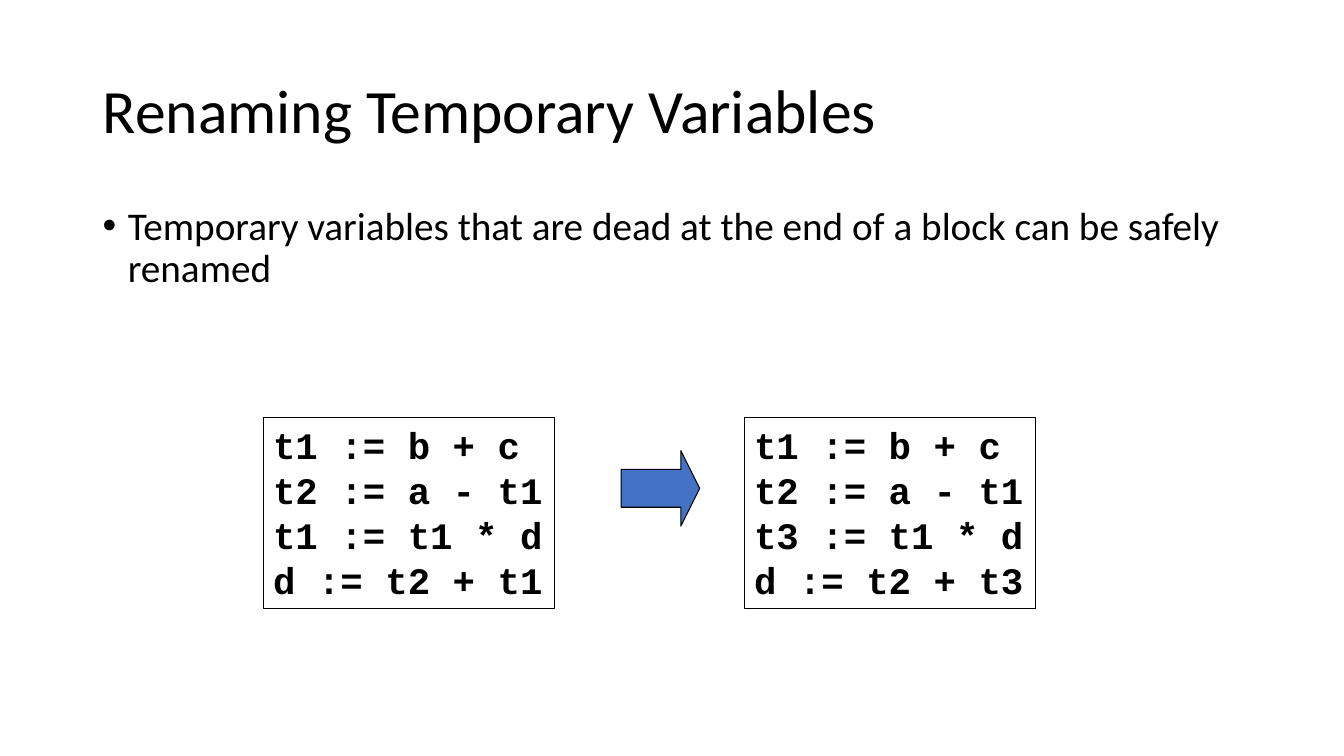
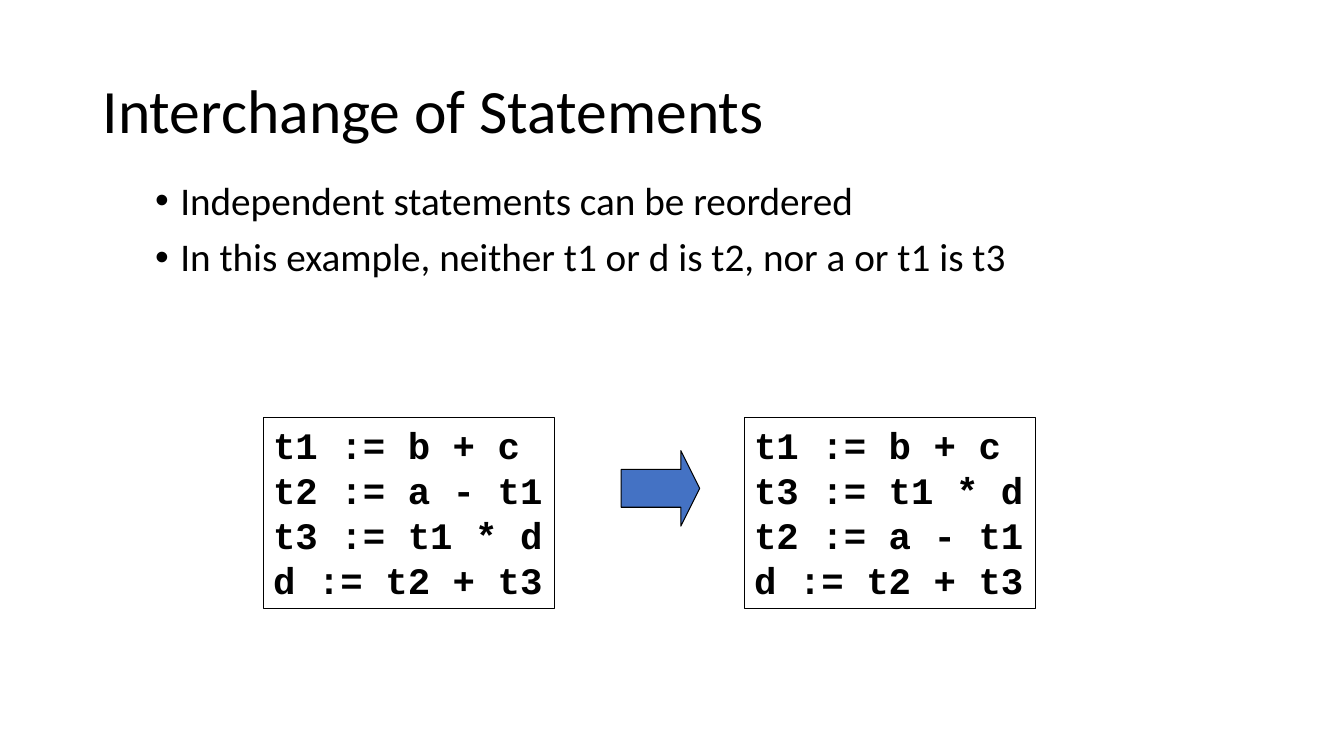
from pptx import Presentation
from pptx.dml.color import RGBColor
from pptx.enum.shapes import MSO_SHAPE
from pptx.enum.text import MSO_ANCHOR, MSO_AUTO_SIZE
from pptx.oxml import parse_xml
from pptx.oxml.ns import nsdecls
from pptx.util import Inches, Pt

BLACK = RGBColor(0x00, 0x00, 0x00)
BLUE = RGBColor(0x44, 0x72, 0xC4)

TITLE_BOX = (0.92, 0.4, 11.5, 1.45)
CODE_LEFT, CODE_TOP, CODE_WIDTH, CODE_HEIGHT = 2.61, 4.14, 2.89, 1.9
CODE_STEP = 4.77
ARROW_BOX = (6.16, 4.47, 0.78, 0.75)

TITLE_FONT = {"name": "Calibri", "size": Pt(44), "bold": False}
BODY_FONT = {"name": "Calibri", "size": Pt(28), "bold": False}
CODE_FONT = {"name": "Courier New", "size": Pt(26.7), "bold": True}
TITLE_SPACING = {"line_spacing": 0.9}
BODY_SPACING = {"line_spacing": 0.9, "space_before": Pt(10)}

RENAMED = ["t1 := b + c", "t2 := a - t1", "t3 := t1 * d", "d := t2 + t3"]

SLIDES = [
    {
        "title": "Renaming Temporary Variables",
        "body_box": (0.92, 2, 11.5, 4.76),
        "bullets": ["Temporary variables that are dead at the end of a block can be safely renamed"],
        "code": [
            ["t1 := b + c", "t2 := a - t1", "t1 := t1 * d", "d := t2 + t1"],
            RENAMED,
        ],
    },
    {
        "title": "Interchange of Statements",
        "body_box": (1.44, 1.75, 10.56, 4.95),
        "bullets": [
            "Independent statements can be reordered",
            "In this example, neither t1 or d is t2, nor a or t1 is t3",
        ],
        "code": [
            RENAMED,
            ["t1 := b + c", "t3 := t1 * d", "t2 := a - t1", "d := t2 + t3"],
        ],
    },
]


def set_attributes(target, values):
    for name, value in values.items():
        setattr(target, name, value)


def outline(shape):
    shape.line.color.rgb = BLACK
    shape.line.width = Pt(0.75)


def add_bullet(paragraph):
    properties = paragraph._p.get_or_add_pPr()
    properties.set("marL", str(Inches(0.25)))
    properties.set("indent", str(Inches(-0.25)))
    properties.append(parse_xml(f'<a:buFont {nsdecls("a")} typeface="Arial"/>'))
    properties.append(parse_xml(f'<a:buChar {nsdecls("a")} char="•"/>'))


def add_text(slide, box, lines, font, spacing, wrap=True, bulleted=False):
    shape = slide.shapes.add_textbox(*map(Inches, box))
    frame = shape.text_frame
    frame.word_wrap = wrap
    for index, line in enumerate(lines):
        paragraph = frame.add_paragraph() if index else frame.paragraphs[0]
        set_attributes(paragraph, spacing)
        if bulleted:
            add_bullet(paragraph)
        run = paragraph.add_run()
        run.text = line
        set_attributes(run.font, font)
        run.font.color.rgb = BLACK
    return shape


def add_arrow(slide):
    arrow = slide.shapes.add_shape(MSO_SHAPE.RIGHT_ARROW, *map(Inches, ARROW_BOX))
    arrow.adjustments[0] = 0.5
    arrow.adjustments[1] = 0.25
    arrow.shadow.inherit = False
    arrow.fill.solid()
    arrow.fill.fore_color.rgb = BLUE
    outline(arrow)


def build_slide(presentation, content):
    slide = presentation.slides.add_slide(presentation.slide_layouts[6])
    title = add_text(slide, TITLE_BOX, [content["title"]], TITLE_FONT, TITLE_SPACING)
    title.text_frame.vertical_anchor = MSO_ANCHOR.MIDDLE
    add_text(slide, content["body_box"], content["bullets"], BODY_FONT, BODY_SPACING, bulleted=True)
    for column, lines in enumerate(content["code"]):
        box = (CODE_LEFT + column * CODE_STEP, CODE_TOP, CODE_WIDTH, CODE_HEIGHT)
        code = add_text(slide, box, lines, CODE_FONT, {}, wrap=False)
        code.text_frame.auto_size = MSO_AUTO_SIZE.SHAPE_TO_FIT_TEXT
        outline(code)
    add_arrow(slide)


def main():
    presentation = Presentation()
    presentation.slide_width = Inches(13.33)
    presentation.slide_height = Inches(7.5)
    for content in SLIDES:
        build_slide(presentation, content)
    presentation.save("out.pptx")


if __name__ == "__main__":
    main()
